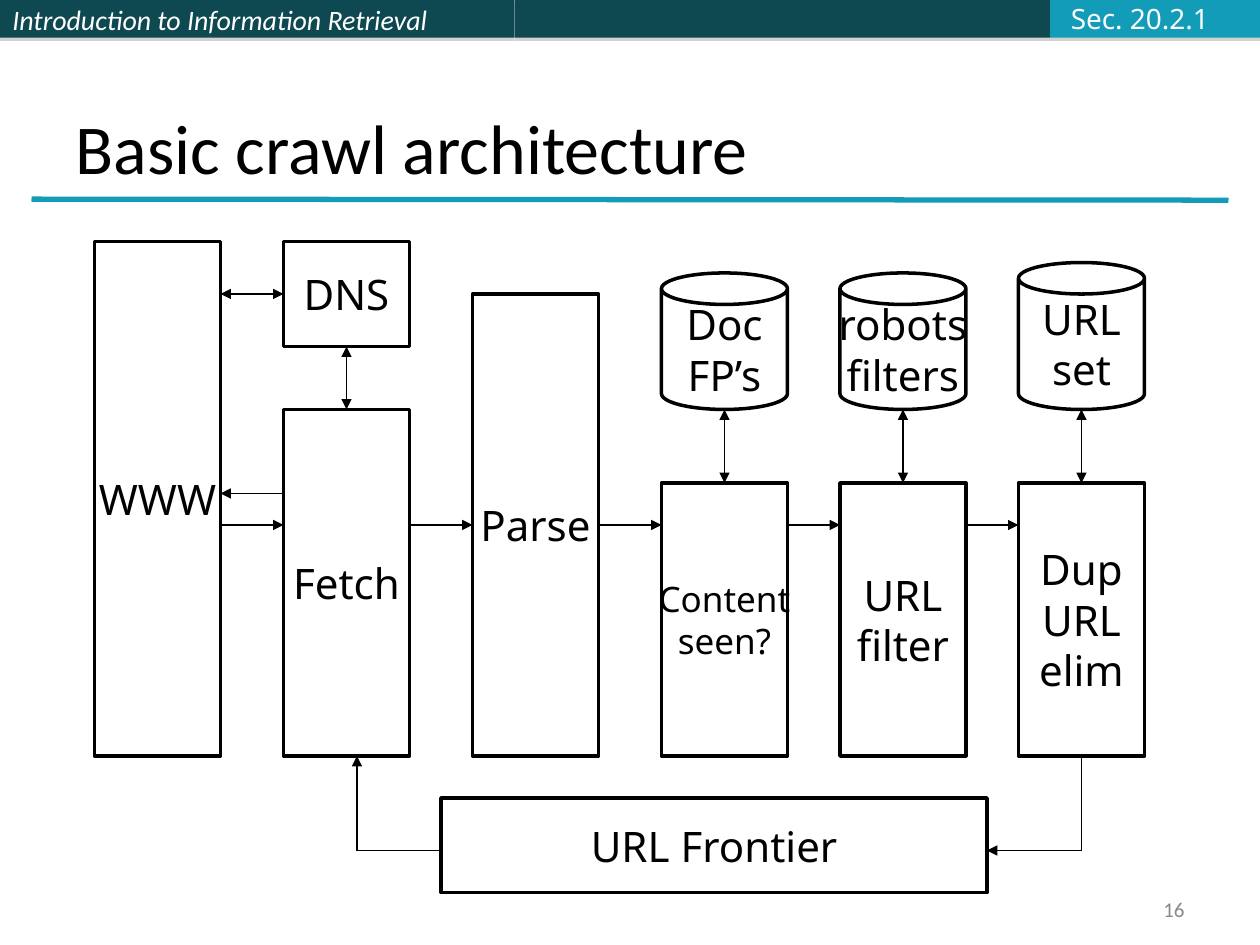
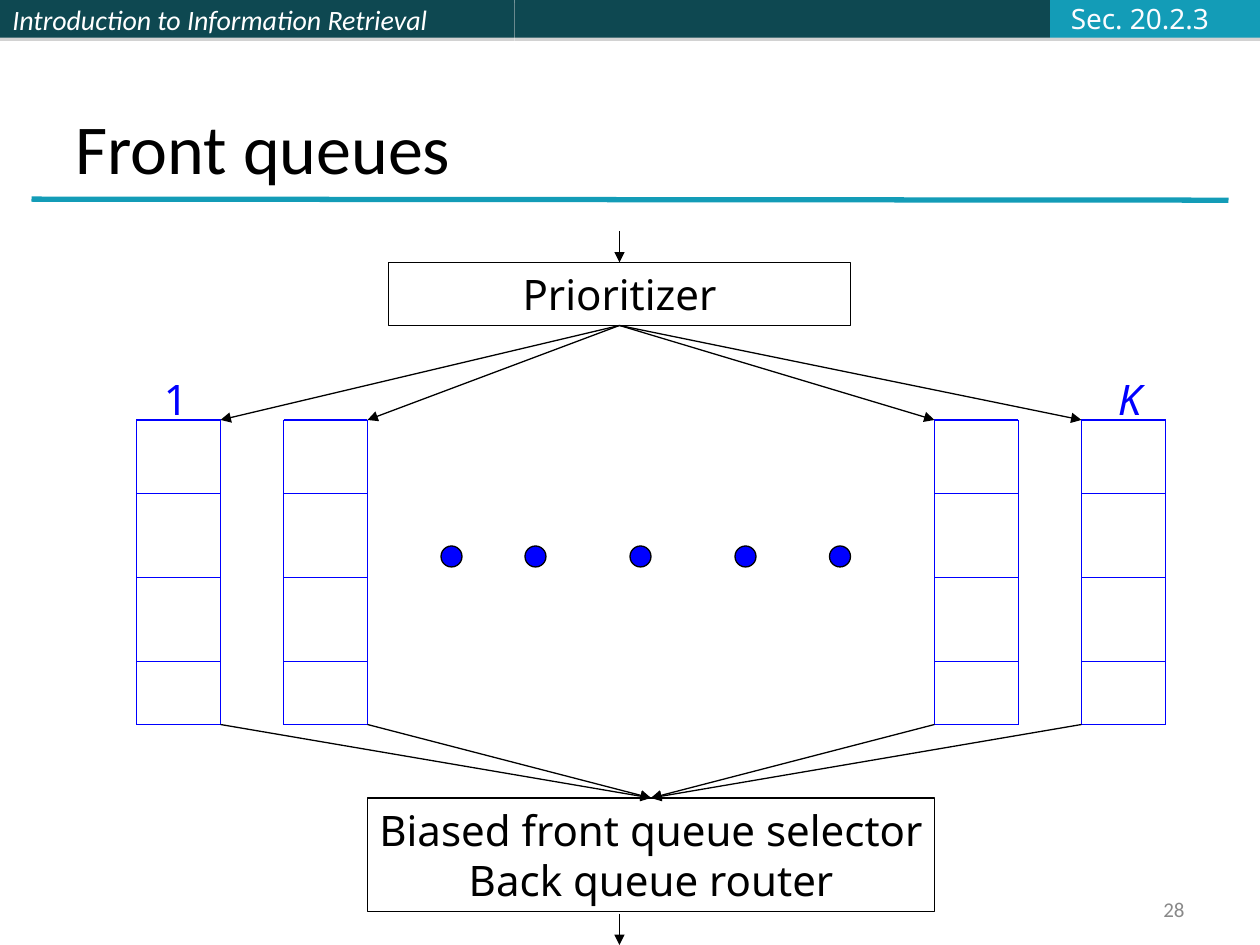
import pptx
import pptx.util
import pptx.dml.color
import pptx.enum.shapes
import pptx.enum.text
import pptx.oxml
import pptx.oxml.ns

Pt = pptx.util.Pt
RGBColor = pptx.dml.color.RGBColor
SHAPE = pptx.enum.shapes.MSO_SHAPE
ALIGN = pptx.enum.text.PP_ALIGN
ANCHOR = pptx.enum.text.MSO_ANCHOR
qn = pptx.oxml.ns.qn

# Colours and text formats
BLACK = RGBColor(0x00, 0x00, 0x00)
WHITE = RGBColor(0xFF, 0xFF, 0xFF)
DARK_TEAL = RGBColor(0x0E, 0x48, 0x51)
TEAL = RGBColor(0x13, 0x9C, 0xB7)
PALE = RGBColor(0xFB, 0xFC, 0xFF)
GREY = RGBColor(0x89, 0x89, 0x89)
BLUE = RGBColor(0x00, 0x00, 0xFF)

TITLE = {"name": "Calibri", "size": Pt(40), "color": BLACK}
COURSE = {"name": "Calibri", "size": Pt(16), "color": WHITE, "italic": True}
SECTION = {"name": "Noto Sans", "size": Pt(16), "color": PALE}
NUMBER = {"name": "Calibri", "size": Pt(12), "color": GREY}
LABEL = {"name": "Noto Sans", "size": Pt(24), "color": BLACK}
SMALL_LABEL = {**LABEL, "size": Pt(20)}
QUEUE_LABEL = {**LABEL, "color": BLUE}

# Shared header: text, left, width, colour
COURSE_TITLE = "Introduction to Information Retrieval"
BANDS = [(COURSE_TITLE, 0, 294, DARK_TEAL), ("", 294, 306, DARK_TEAL),
         ("", 600, 120, TEAL)]
BAND_HEIGHT = 21.6

# Crawl architecture: text, left, top, height
CRAWL_WIDTH = 72
CRAWL_BOXES = [
    ("WWW", 54, 138, 294),
    ("DNS", 162, 138, 60),
    ("Fetch", 162, 234, 198),
    ("Parse", 270, 168, 264),
    ("Content\nseen?", 378, 276, 156),
    ("URL\nfilter", 480, 276, 156),
    ("Dup\nURL\nelim", 582, 276, 156),
]
# Store, top, and the box it serves
CRAWL_STORES = [
    ("Doc\nFP’s", 156, "Content\nseen?"),
    ("robots\nfilters", 156, "URL\nfilter"),
    ("URL\nset", 150, "Dup\nURL\nelim"),
]
STORE_BOTTOM = 234
FRONTIER = ("URL Frontier", 252, 456, 312, 54)
# Ends are points or (box, side); then the ends that carry arrowheads
CRAWL_LINKS = [
    (("DNS", 1), (126, 168), "both"),
    (("DNS", 2), ("Fetch", 0), "both"),
    ((126, 300), (162, 300), "tail"),
    ((162, 282), (126, 282), "tail"),
    ((234, 300), ("Parse", 1), "tail"),
    (("Parse", 3), (378, 300), "tail"),
    ((450, 300), (480, 300), "tail"),
    ((552, 300), (582, 300), "tail"),
    (("Dup\nURL\nelim", 2), (618, 486), ""),
    ((618, 486), (564, 486), "tail"),
    ((252, 486), (204, 486), ""),
    ((204, 486), (204, 432), "tail"),
]

# Front queues
PRIORITIZER = ("Prioritizer", 222, 150, 264, 36)
SELECTOR = ("Biased front queue selector\nBack queue router", 210, 456, 324, 65)
QUEUE_LEFTS = [78, 162, 534, 618]
QUEUE_WIDTH = 48
QUEUE_LEVELS = [240, 282, 330, 378, 414]
QUEUE_ENDS = [("1", 86.4, False), ("K", 631.4, True)]
DOT_LEFTS = [252, 300, 360, 420, 474]
DOT_TOP, DOT_SIZE = 312, 12
SLIDE_MIDDLE = 360


def write(shape, text, style, align=ALIGN.CENTER, anchor=ANCHOR.MIDDLE, wrap=False):
    frame = shape.text_frame
    frame.text = text
    layout = {"word_wrap": wrap, "vertical_anchor": anchor,
              "auto_size": pptx.enum.text.MSO_AUTO_SIZE.NONE}
    for key, value in layout.items():
        setattr(frame, key, value)
    for paragraph in frame.paragraphs:
        paragraph.alignment = align
        for run in paragraph.runs:
            for key, value in style.items():
                if key == "color":
                    run.font.color.rgb = value
                else:
                    setattr(run.font, key, value)


def add_text(slide, text, left, top, width, height, style, **layout):
    box = slide.shapes.add_textbox(Pt(left), Pt(top), Pt(width), Pt(height))
    write(box, text, style, **layout)


def add_outline(slide, kind, frame, weight, fill=None):
    shape = slide.shapes.add_shape(kind, *map(Pt, frame))
    shape.shadow.inherit = False
    if fill is None:
        shape.fill.background()
    else:
        shape.fill.solid()
        shape.fill.fore_color.rgb = fill
    if weight:
        shape.line.color.rgb = BLACK
        shape.line.width = Pt(weight)
    else:
        shape.line.fill.background()
    return shape


def add_link(slide, start, end, arrows="", boxes=None, color=BLACK, weight=0.75):
    """Draw a line between two ends, each a point or a (box name, side)."""
    joined = [isinstance(place[0], str) for place in (start, end)]
    points = [(0, 0) if join else place for join, place in zip(joined, (start, end))]
    link = slide.shapes.add_connector(
        pptx.enum.shapes.MSO_CONNECTOR.STRAIGHT, *map(Pt, points[0] + points[1]))
    if joined[0]:
        link.begin_connect(boxes[start[0]], start[1])
    if joined[1]:
        link.end_connect(boxes[end[0]], end[1])
    link.line.color.rgb = color
    link.line.width = Pt(weight)
    properties = link.element.spPr
    outline = properties.find(qn("a:ln"))
    for tag, carriers in (("a:headEnd", ("both",)), ("a:tailEnd", ("both", "tail"))):
        if arrows in carriers:
            outline.append(pptx.oxml.parse_xml(
                f'<{tag} {pptx.oxml.ns.nsdecls("a")} type="triangle"/>'))
    properties.append(pptx.oxml.parse_xml(
        f'<a:effectLst {pptx.oxml.ns.nsdecls("a")}/>'))


def add_band_shadow(band):
    band.element.spPr.find(qn("a:effectLst")).append(pptx.oxml.parse_xml(
        f'<a:outerShdw {pptx.oxml.ns.nsdecls("a")} blurRad="0" dist="22860" '
        'dir="5400000" rotWithShape="0"><a:srgbClr val="808080">'
        '<a:alpha val="35000"/></a:srgbClr></a:outerShdw>'))


def start_slide(deck, title, section, number):
    slide = deck.slides.add_slide(deck.slide_layouts[5])
    # Header bands and title rule
    for text, left, width, color in BANDS:
        band = add_outline(slide, SHAPE.RECTANGLE, (left, 0, width, BAND_HEIGHT), 0, color)
        add_band_shadow(band)
        if text:
            write(band, text, COURSE, align=ALIGN.LEFT, wrap=True)
    add_link(slide, (18, 113.8), (702, 114.4), color=TEAL, weight=3)
    # Title, section and slide number
    heading = slide.shapes.title
    place = {"left": 36, "top": 21.6, "width": 648, "height": 90}
    for key, value in place.items():
        setattr(heading, key, Pt(value))
    write(heading, title, TITLE, align=ALIGN.LEFT, anchor=ANCHOR.BOTTOM, wrap=True)
    add_text(slide, section, 604.8, -2.9, 93, 26.6, SECTION, align=ALIGN.LEFT)
    add_text(slide, number, 516, 510, 168, 19.5, NUMBER, align=ALIGN.RIGHT, wrap=True)
    return slide


def build_crawl(deck):
    slide = start_slide(deck, "Basic crawl architecture", "Sec. 20.2.1", "16")
    # Processing boxes
    frames = {text: (left, top, CRAWL_WIDTH, height)
              for text, left, top, height in CRAWL_BOXES}
    frames[FRONTIER[0]] = FRONTIER[1:]
    boxes = {}
    for text, frame in frames.items():
        boxes[text] = add_outline(slide, SHAPE.RECTANGLE, frame, 2)
        write(boxes[text], text, SMALL_LABEL if text.startswith("Content") else LABEL)
    # Stores above the boxes they serve
    for text, top, served in CRAWL_STORES:
        left = frames[served][0]
        store = add_outline(slide, SHAPE.CAN,
                            (left, top, CRAWL_WIDTH, STORE_BOTTOM - top), 2)
        write(store, text, LABEL)
        add_link(slide, (left + CRAWL_WIDTH / 2, STORE_BOTTOM), (served, 0), "both", boxes)
    # Flow
    for start, end, arrows in CRAWL_LINKS:
        add_link(slide, start, end, arrows, boxes)


def build_queues(deck):
    slide = start_slide(deck, "Front queues", "Sec. 20.2.3", "28")
    # Prioritizer and selector
    boxes = {}
    for text, *frame in (PRIORITIZER, SELECTOR):
        boxes[text] = add_outline(slide, SHAPE.RECTANGLE, frame, 0.75)
        write(boxes[text], text, LABEL)
    add_link(slide, (354, 132), (PRIORITIZER[0], 0), "tail", boxes)
    add_link(slide, (354, 522), (354, 540), "tail")
    # Queues, each tied to both boxes at its inner corners
    top, bottom = QUEUE_LEVELS[0], QUEUE_LEVELS[-1]
    for left in QUEUE_LEFTS:
        right = left + QUEUE_WIDTH
        for level in QUEUE_LEVELS:
            add_link(slide, (left, level), (right, level), color=BLUE)
        for side in (left, right):
            add_link(slide, (side, top), (side, bottom), color=BLUE)
        inner = right if left < SLIDE_MIDDLE else left
        add_link(slide, (PRIORITIZER[0], 2), (inner, top), "tail", boxes)
        add_link(slide, (inner, bottom), (SELECTOR[0], 0), "tail", boxes)
    for text, left, italic in QUEUE_ENDS:
        add_text(slide, text, left, 210, 28, 36, {**QUEUE_LABEL, "italic": italic},
                 align=ALIGN.RIGHT, anchor=ANCHOR.TOP)
    # Dots for the queues between
    for left in DOT_LEFTS:
        add_outline(slide, SHAPE.OVAL, (left, DOT_TOP, DOT_SIZE, DOT_SIZE), 0.75, BLUE)


def main():
    deck = pptx.Presentation()
    deck.slide_width, deck.slide_height = Pt(720), Pt(540)
    build_crawl(deck)
    build_queues(deck)
    deck.save("out.pptx")


if __name__ == "__main__":
    main()
